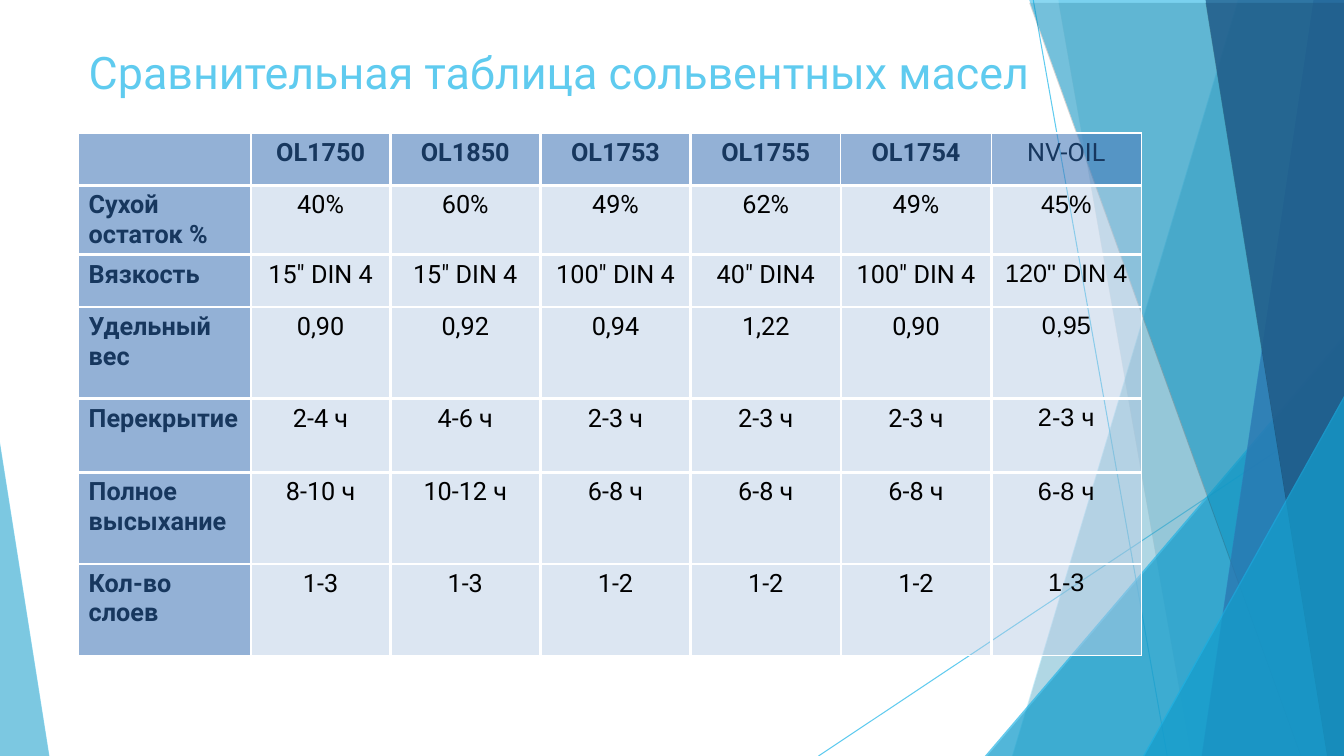
from lxml import etree
from pptx import Presentation
from pptx.dml.color import RGBColor
from pptx.enum.shapes import MSO_CONNECTOR, MSO_SHAPE
from pptx.enum.text import MSO_ANCHOR, MSO_AUTO_SIZE, PP_ALIGN
from pptx.oxml.ns import qn
from pptx.util import Inches, Pt

STRAIGHT = MSO_CONNECTOR.STRAIGHT
TRIANGLE = MSO_SHAPE.ISOSCELES_TRIANGLE
TOP, NO_FIT = MSO_ANCHOR.TOP, MSO_AUTO_SIZE.NONE
LEFT, CENTER = PP_ALIGN.LEFT, PP_ALIGN.CENTER

WHITE = RGBColor(0xFF, 0xFF, 0xFF)
BLACK = RGBColor(0x00, 0x00, 0x00)
SKY = RGBColor(0x5F, 0xCB, 0xEF)
CYAN = RGBColor(0x17, 0xB0, 0xE4)
BLUE = RGBColor(0x2E, 0x83, 0xC3)
DEEP = RGBColor(0x22, 0x62, 0x92)
NAVY = RGBColor(0x17, 0x37, 0x5E)
HEADING_FILL = RGBColor(0x4F, 0x81, 0xBD)
VALUE_FILL = RGBColor(0xB9, 0xCD, 0xE5)

THIN, THICK = 1, 2.25
TITLE_ONLY = 5
TITLE = "Сравнительная таблица сольвентных масел"
OILS = [
    ["", "OL1750", "OL1850", "OL1753", "OL1755", "OL1754", "NV-OIL"],
    ["Сухой остаток %", "40%", "60%", "49%", "62%", "49%", "45%"],
    ["Вязкость", '15" DIN 4', '15" DIN 4', '100" DIN 4', '40" DIN4', '100" DIN 4', '120" DIN 4'],
    ["Удельный вес", "0,90", "0,92", "0,94", "1,22", "0,90", "0,95"],
    ["Перекрытие", "2-4 ч", "4-6 ч", "2-3 ч", "2-3 ч", "2-3 ч", "2-3 ч"],
    ["Полное высыхание", "8-10 ч", "10-12 ч", "6-8 ч", "6-8 ч", "6-8 ч", "6-8 ч"],
    ["Кол-во слоев", "1-3", "1-3", "1-2", "1-2", "1-2", "1-3"],
]
COLUMN_WIDTHS = [12.83, 10.35] + [11.18] * 5
ROW_HEIGHTS = [6.93] * 3 + [12.13, 9.73, 12.13, 12.13]


def set_alpha(parent, percent):
    color = next(parent.iter(qn("a:srgbClr")))
    etree.SubElement(color, qn("a:alpha"), val=str(percent * 1000))


class SlideBuilder:
    """Draws on a grid of 100 columns by 100 rows that covers the slide."""

    def __init__(self, deck):
        self.column = deck.slide_width / 100
        self.row = deck.slide_height / 100
        self.page = deck.slides.add_slide(deck.slide_layouts[TITLE_ONLY])
        self.shapes = self.page.shapes

    def place(self, x, y):
        return round(x * self.column), round(y * self.row)

    def add_text(self, frame, text, align, color, **font_format):
        para = frame.paragraphs[0]
        para.alignment = align
        span = para.add_run()
        span.text = text
        span.font.color.rgb = color
        for name, value in font_format.items():
            setattr(span.font, name, value)

    def line(self, start, end):
        line = self.shapes.add_connector(STRAIGHT, *self.place(*start), *self.place(*end))
        line.line.color.rgb = SKY
        line.line.width = Pt(0.75)
        etree.SubElement(line._element.spPr, qn("a:effectLst"))

    def glaze(self, shape, color, opacity):
        """Give a facet its transparent fill and its short shadow straight down."""
        shape.fill.solid()
        shape.fill.fore_color.rgb = color
        shape.line.fill.background()
        shape.shadow.inherit = False
        properties = shape._element.spPr
        set_alpha(properties, opacity)
        shadow = etree.SubElement(
            properties.find(qn("a:effectLst")), qn("a:outerShdw"),
            blurRad="0", dist=str(Pt(2)), dir="5400000", rotWithShape="0")
        etree.SubElement(shadow, qn("a:srgbClr"), val=str(BLACK))
        set_alpha(shadow, 35)

    def band(self, top_x, bottom_x, color, opacity):
        """Fill from a slanted left edge to the right side of the slide."""
        outline = self.shapes.build_freeform(*self.place(top_x, 0), scale=1.0)
        corners = [(100, 0), (100, 100), (bottom_x, 100)]
        outline.add_line_segments([self.place(*corner) for corner in corners], close=True)
        self.glaze(outline.convert_to_shape(), color, opacity)

    def corner(self, left, top, width, apex, color, opacity):
        """Stand a right-angled triangle on the bottom edge of the slide."""
        shape = self.shapes.add_shape(
            TRIANGLE, *self.place(left, top), *self.place(width, 100 - top))
        shape.adjustments[0] = apex
        self.glaze(shape, color, opacity)

    def title(self, text, x, y, width, height):
        box = self.shapes.title
        self.shapes._spTree.append(box._element)
        box.left, box.top = self.place(x, y)
        box.width, box.height = self.place(width, height)
        frame = box.text_frame
        settings = {"vertical_anchor": TOP, "auto_size": NO_FIT, "word_wrap": True}
        for name, value in settings.items():
            setattr(frame, name, value)
        self.add_text(frame, text, LEFT, SKY, size=Pt(32), name="Roboto")

    def cell_style(self, cell, color, opacity, borders):
        cell.fill.solid()
        cell.fill.fore_color.rgb = color
        properties = cell._tc.get_or_add_tcPr()
        set_alpha(properties, opacity)
        for index, (side, points) in enumerate(borders.items()):
            edge = etree.Element(qn(f"a:ln{side}"), w=str(Pt(points)))
            fill = etree.SubElement(edge, qn("a:solidFill"))
            etree.SubElement(fill, qn("a:srgbClr"), val=str(WHITE))
            properties.insert(index, edge)

    def table(self, rows, x, y, widths, heights):
        last_row, last_column = len(rows) - 1, len(widths) - 1
        table = self.shapes.add_table(
            len(rows), len(widths), *self.place(x, y),
            *self.place(sum(widths), sum(heights))).table
        table.first_row = table.horz_banding = False
        for column, width in zip(table.columns, widths):
            column.width = round(width * self.column)
        for row, height in zip(table.rows, heights):
            row.height = round(height * self.row)

        def upright(r, edge):
            thin = edge in (0, last_column + 1) or (r == 0 and edge >= last_column - 1)
            return THIN if thin else THICK

        for r, texts in enumerate(rows):
            for c, text in enumerate(texts):
                cell = table.cell(r, c)
                heading = r == 0 or c == 0
                borders = {
                    "L": upright(r, c), "R": upright(r, c + 1),
                    "T": THIN if r == 0 else THICK,
                    "B": THIN if r == last_row else THICK,
                }
                fill = (HEADING_FILL, 61) if heading else (VALUE_FILL, 49)
                self.cell_style(cell, *fill, borders)
                if text:
                    self.add_text(
                        cell.text_frame, text, CENTER if c else LEFT,
                        NAVY if heading else BLACK, size=Pt(18),
                        name="Arial" if r and c == last_column else "Roboto",
                        bold=heading and c != last_column)


def main():
    deck = Presentation()
    deck.slide_width, deck.slide_height = Inches(13.33), Inches(7.5)
    page = SlideBuilder(deck)
    page.line((76.88, 0), (86.85, 100))
    page.line((100, 53.73), (60.9, 100))
    page.band(92.1, 75.3, SKY, 36)
    page.band(78.75, 88.65, SKY, 20)
    page.corner(73.28, 44.4, 26.72, 1, CYAN, 66)
    page.band(76.58, 96.83, CYAN, 50)
    page.band(97.73, 89.4, BLUE, 70)
    page.band(89.7, 98.78, DEEP, 80)
    page.corner(85.05, 52.4, 14.95, 1, CYAN, 66)
    page.corner(0, 58.53, 3.68, 0, SKY, 70)
    page.title(TITLE, 5.85, 5.2, 75.08, 19.2)
    page.table(OILS, 5.85, 17.6, COLUMN_WIDTHS, ROW_HEIGHTS)
    deck.save("out.pptx")


if __name__ == "__main__":
    main()
